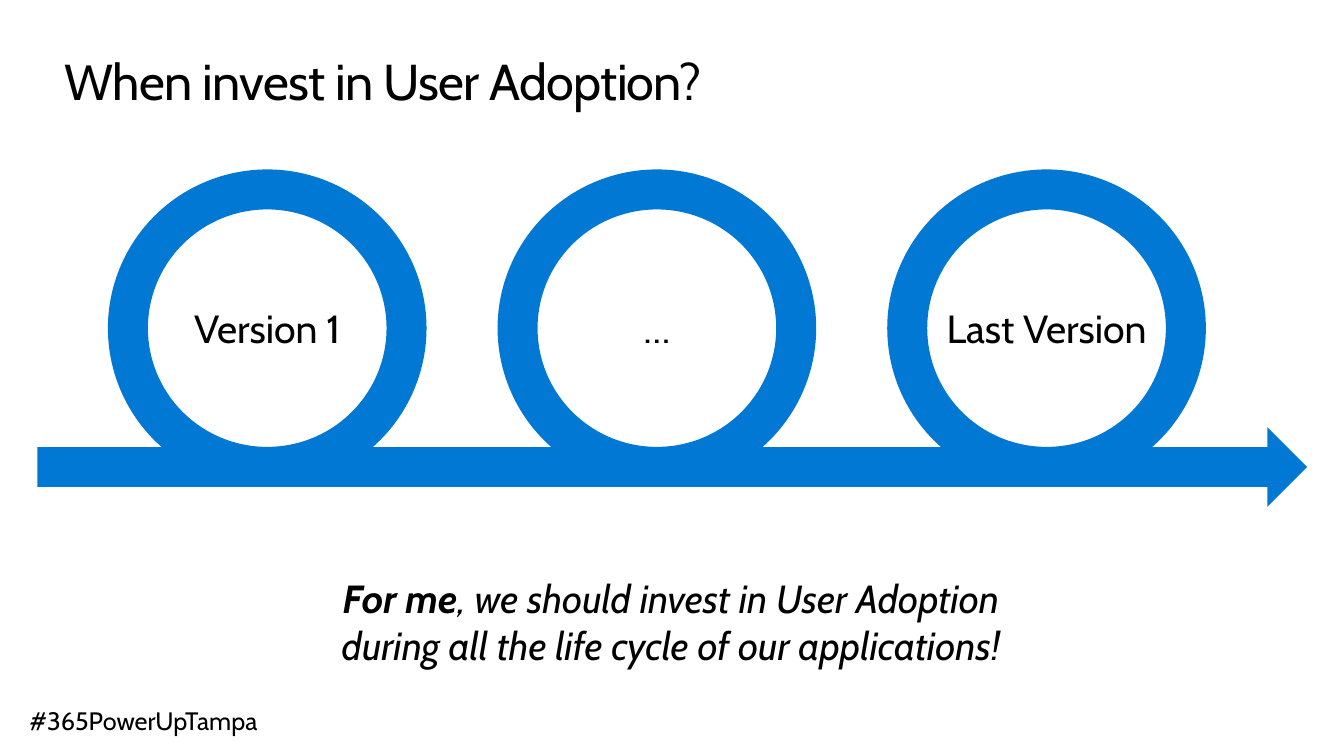
from dataclasses import dataclass

from pptx import Presentation
from pptx.dml.color import RGBColor
from pptx.enum.shapes import MSO_SHAPE
from pptx.enum.text import PP_ALIGN
from pptx.util import Cm, Pt

DONUT = MSO_SHAPE.DONUT
RIGHT_ARROW = MSO_SHAPE.RIGHT_ARROW
LEFT = PP_ALIGN.LEFT
CENTER = PP_ALIGN.CENTER


@dataclass(frozen=True)
class Theme:
    font: str = "Cabin"
    text: RGBColor = RGBColor(0x00, 0x00, 0x00)
    accent: RGBColor = RGBColor(0x00, 0x78, 0xD4)
    title_size: int = 36
    body_size: int = 28
    footer_size: int = 18


class SlideBuilder:
    def __init__(self, slide, theme):
        self.slide = slide
        self.theme = theme

    def text(self, box, lines, size, align=LEFT, italic=None, spacing=None):
        """Write lines, each a list of (words, bold) runs; spacing is in 1/100 pt."""
        frame = self.slide.shapes.add_textbox(*map(Cm, box)).text_frame
        frame.word_wrap = True
        frame.margin_left = frame.margin_right = 0
        frame.margin_top = frame.margin_bottom = 0
        for index, line in enumerate(lines):
            paragraph = frame.add_paragraph() if index else frame.paragraphs[0]
            paragraph.alignment = align
            font = paragraph.font
            font.name = self.theme.font
            font.size = Pt(size)
            font.italic = italic
            font.color.rgb = self.theme.text
            for words, bold in line:
                run = paragraph.add_run()
                run.text = words
                if bold:
                    run.font.bold = True
                if spacing is not None:
                    run.font._element.set("spc", str(spacing))

    def solid(self, kind, box):
        shape = self.slide.shapes.add_shape(kind, *map(Cm, box))
        shape.shadow.inherit = False
        shape.fill.solid()
        shape.fill.fore_color.rgb = self.theme.accent
        shape.line.fill.background()
        return shape

    def cycle(self, left, top, width, height, label):
        """Draw a ring with its label in the middle."""
        ring = self.solid(DONUT, (left, top, width, height))
        ring.adjustments[0] = 0.126
        label_height = 1.2
        label_top = top + (height - label_height) / 2
        self.text((left, label_top, width, label_height),
                  [[(label, False)]], self.theme.body_size, CENTER)


def main():
    presentation = Presentation()
    presentation.slide_width = Cm(33.87)
    presentation.slide_height = Cm(19.05)
    slide = presentation.slides.add_slide(presentation.slide_layouts[6])
    theme = Theme()
    builder = SlideBuilder(slide, theme)

    builder.text((0.74, 17.78, 11.56, 0.76),
                 [[("#365PowerUpTampa", False)]], theme.footer_size)
    builder.text((1.63, 1.27, 30.6, 1.55),
                 [[("When invest in User Adoption?", False)]],
                 theme.title_size, spacing=-50)

    builder.solid(RIGHT_ARROW, (0.94, 10.77, 32, 2))
    first_left, pitch = 2.72, 9.82
    for index, version in enumerate(["Version 1", "…", "Last Version"]):
        builder.cycle(first_left + index * pitch, 4.27, 8.03, 8, version)

    builder.text((7.57, 14.48, 18.67, 2.4),
                 [[("For me", True), (", we should invest in User Adoption", False)],
                  [("during all the life cycle of our applications!", False)]],
                 theme.body_size, CENTER, italic=True)

    presentation.save("out.pptx")


if __name__ == "__main__":
    main()
